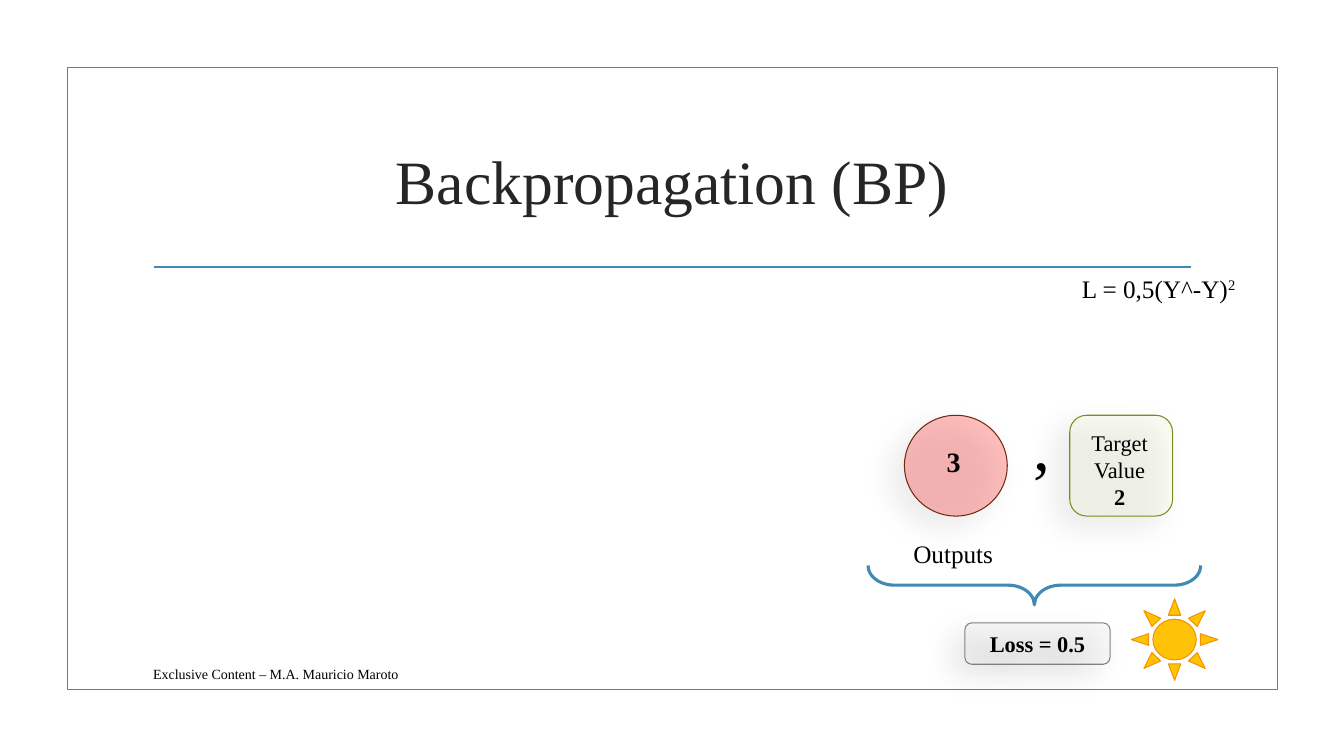
from lxml import etree
from pptx import Presentation
from pptx.dml.color import RGBColor
from pptx.enum.shapes import MSO_CONNECTOR, MSO_SHAPE as Shape
from pptx.enum.text import MSO_ANCHOR as Anchor, PP_ALIGN as Align
from pptx.oxml import parse_xml
from pptx.oxml.ns import nsdecls, qn
from pptx.util import Inches, Pt

FONT = "Times New Roman"
COLORS = {
    "accent": "418AB3", "title": "262626", "text": "000000",
    "output": "FF0000", "output_line": "722811",
    "target": "F0F5D0", "target_line": "7D891D",
    "loss": "E6E6E6", "loss_line": "808080",
    "sun": "FEC306", "sun_line": "F69200",
}


def color(name):
    return RGBColor.from_string(COLORS[name])


def inches(*lengths):
    return [Inches(length) for length in lengths]


def write(shape, paragraphs, size, align=Align.LEFT, anchor=Anchor.TOP,
          wrap=True, ink="text"):
    """Fill a shape with paragraphs, each a list of (text, font values)."""
    frame = shape.text_frame
    frame.word_wrap = wrap
    frame.vertical_anchor = anchor
    for index, spans in enumerate(paragraphs):
        para = frame.paragraphs[0] if index == 0 else frame.add_paragraph()
        para.alignment = align
        for text, values in spans:
            span = para.add_run()
            span.text = text
            span.font.color.rgb = color(ink)
            for key, value in {"name": FONT, "size": Pt(size), **values}.items():
                setattr(span.font, key, value)
    return frame


def add_label(page, box, paragraphs, size, **layout):
    return write(page.shapes.add_textbox(*inches(*box)), paragraphs, size, **layout)


def add_figure(page, kind, box, line, width=0.75, fill=None):
    figure = page.shapes.add_shape(kind, *inches(*box))
    figure.shadow.inherit = False
    figure.line.color.rgb = color(line)
    figure.line.width = Pt(width)
    if fill:
        figure.fill.solid()
        figure.fill.fore_color.rgb = color(fill)
    else:
        figure.fill.background()
    return figure


def add_glass_figure(page, kind, box, name):
    """Add a translucent figure that casts a soft shadow to the lower left."""
    figure = add_figure(page, kind, box, f"{name}_line", fill=name)
    properties = figure._element.spPr
    tint = properties.find(qn("a:solidFill")).find(qn("a:srgbClr"))
    etree.SubElement(tint, qn("a:alpha"), val="25000")
    properties.find(qn("a:effectLst")).append(parse_xml(
        f'<a:outerShdw {nsdecls("a")} blurRad="{Pt(19.7)}" dist="{Pt(11.8)}" '
        'dir="8460000" algn="tr" rotWithShape="0">'
        f'<a:srgbClr val="{COLORS["text"]}"><a:alpha val="28000"/></a:srgbClr>'
        '</a:outerShdw>'))
    return figure


def add_frame(page, left, top, width, height):
    """Draw the border, the rule under the title and the footer."""
    add_figure(page, Shape.RECTANGLE, (left, top, width, height), "accent", 1.25)
    rule = page.shapes.add_connector(
        MSO_CONNECTOR.STRAIGHT,
        *inches(left + 0.86, top + 1.98, left + width - 0.86, top + 1.98))
    rule.line.color.rgb = color("accent")
    rule.line.width = Pt(1.25)
    etree.SubElement(rule._element.spPr, qn("a:effectLst"))
    add_label(page, (left + 0.75, top + height - 0.31, 7.99, 0.31),
              [[("Exclusive Content – M.A. Mauricio Maroto", {})]], 10,
              anchor=Anchor.MIDDLE)


def add_title(page, left, top, width, height):
    title = page.shapes.title
    place = dict(zip(("left", "top", "width", "height"),
                     inches(left, top, width, height)))
    for key, value in place.items():
        setattr(title, key, value)
    write(title, [[("Backpropagation (BP)", {})]], 44, Align.CENTER,
          Anchor.MIDDLE, ink="title")


def add_formula(page, left, top, width, height):
    frame = add_label(page, (left, top, width, height),
                      [[("L = 0,5(Y^-Y)", {}), ("2", {})]], 18, wrap=False)
    for side in ("left", "top", "right", "bottom"):
        setattr(frame, f"margin_{side}", 0)
    exponent = frame.paragraphs[0].runs[-1]
    exponent.font._element.set("baseline", "30000")


def add_output_pair(page, left, top, size=1.02, height=1):
    """Draw the network output, a comma and the target value."""
    bold = {"bold": True}
    target = left + 1.64
    add_label(page, (left - 0.01, top + 1.17, 1.15, 0.4), [[("Outputs", {})]], 18)
    add_glass_figure(page, Shape.OVAL, (left, top, size, height), "output")
    add_label(page, (left + 0.32, top + 0.24, 0.53, 0.44), [[("3", bold)]], 20)
    add_glass_figure(page, Shape.ROUNDED_RECTANGLE,
                     (target, top, size, height), "target")
    add_label(page, (target + 0.06, top + 0.09, 0.87, 0.91),
              [[("Target Value", {})], [("2", bold)]], 16, align=Align.CENTER)
    add_label(page, (left + 1.18, top - 0.17, 0.29, 0.91), [[(",", {})]], 48)


def add_loss(page, left, top, width):
    """Draw the brace over the loss value, with the sun beside it."""
    depth = 0.39
    middle = left + width / 2
    loss = add_glass_figure(page, Shape.ROUNDED_RECTANGLE,
                            (middle - 0.69, top + 0.57, 1.44, 0.41), "loss")
    write(loss, [[("Loss = 0.5", {"bold": True})]], 16, Align.CENTER, Anchor.MIDDLE)
    upright = (middle - depth / 2, top + depth / 2 - width / 2, depth, width)
    brace = add_figure(page, Shape.LEFT_BRACE, upright, "accent", 2.25)
    brace.rotation = 270
    brace.adjustments[0] = 0.67
    add_figure(page, Shape.SUN, (middle + 0.96, top + 0.33, 0.86, 0.81),
               "sun_line", fill="sun")


def main():
    deck = Presentation()
    deck.slide_width, deck.slide_height = inches(13.33, 7.5)
    page = deck.slides.add_slide(deck.slide_layouts[5])
    add_frame(page, 0.67, 0.67, 12, 6.17)
    add_title(page, 1.42, 1.07, 10.5, 1.43)
    add_output_pair(page, 8.97, 4.12)
    add_formula(page, 10.73, 2.71, 1.54, 0.3)
    add_loss(page, 8.61, 5.61, 3.3)
    deck.save("out.pptx")


if __name__ == "__main__":
    main()
